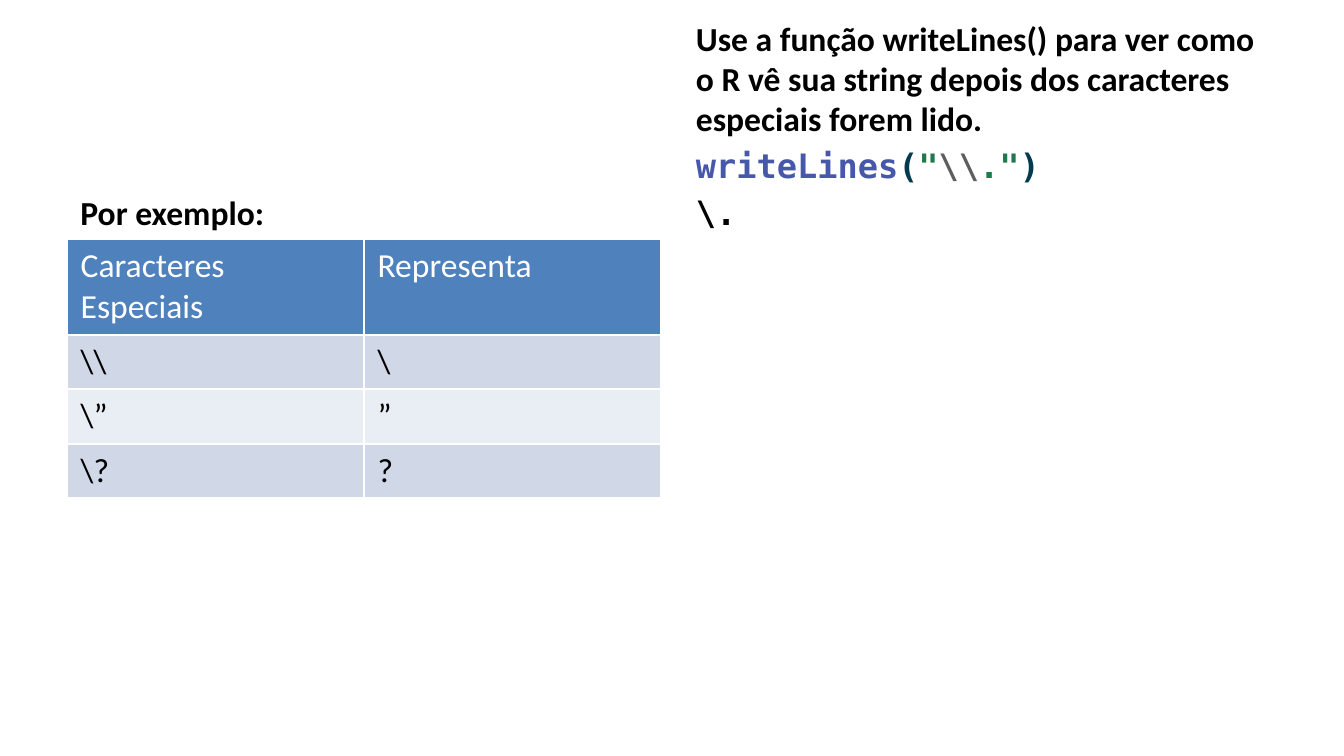
"""Build a slide on special characters in R strings."""
from dataclasses import dataclass

from pptx import Presentation, util as u
from pptx.dml.color import RGBColor
from pptx.enum import text


@dataclass(frozen=True)
class Theme:
    body: str = "Calibri"
    mono: str = "DejaVu Sans Mono"
    size: int = 18
    black: str = "000000"
    white: str = "FFFFFF"
    header: str = "4F81BD"
    bands: tuple = ("D0D8E8", "E9EDF4")
    function: str = "4758AB"
    bracket: str = "003B4F"
    string: str = "20794D"
    escape: str = "5E5E5E"


THEME = Theme()

EXAMPLE = [[("Por exemplo:", {})]]
ROWS = [
    ("Caracteres Especiais", "Representa"),
    ("\\\\", "\\"),
    ("\\”", "”"),
    ("\\?", "?"),
]
EXPLANATION = [
    [("Use a função writeLines() para ver como o R vê sua string "
      "depois dos caracteres especiais forem lido.", {})],
    [(words, {"font": THEME.mono, "color": color}) for words, color in (
        ("writeLines", THEME.function),
        ("(", THEME.bracket),
        ('"', THEME.string),
        ("\\\\", THEME.escape),
        ('."', THEME.string),
        (")", THEME.bracket),
    )],
    [("\\.", {"font": THEME.mono})],
]

SLIDE_WIDTH = 10
SLIDE_HEIGHT = SLIDE_WIDTH * 9 / 16
MARGIN, TOP, WIDTH, HEIGHT = 0.5, 1.26, 4.42, 0.52
HEADER_HEIGHT, ROW_HEIGHT = 0.7, 0.4


def write(paragraph, words, font=THEME.body, color=THEME.black, bold=True):
    run = paragraph.add_run()
    run.text = words
    run.font.name = font
    run.font.size = u.Pt(THEME.size)
    run.font.bold = bold
    run.font.color.rgb = RGBColor.from_string(color)


def add_text(slide, left, paragraphs):
    box = slide.shapes.add_textbox(*map(u.Inches, (left, TOP, WIDTH, HEIGHT)))
    frame = box.text_frame
    frame.word_wrap = True
    frame.auto_size = text.MSO_AUTO_SIZE.NONE
    frame.vertical_anchor = text.MSO_ANCHOR.BOTTOM
    for index, runs in enumerate(paragraphs):
        paragraph = frame.add_paragraph() if index else frame.paragraphs[0]
        paragraph.space_before = u.Pt(THEME.size * 0.2)
        for words, style in runs:
            write(paragraph, words, **style)


def add_character_table(slide):
    heights = [HEADER_HEIGHT] + [ROW_HEIGHT] * (len(ROWS) - 1)
    table = slide.shapes.add_table(
        len(ROWS), len(ROWS[0]),
        *map(u.Inches, (MARGIN, TOP + HEIGHT, WIDTH, sum(heights)))).table
    for index, (height, values) in enumerate(zip(heights, ROWS)):
        table.rows[index].height = u.Inches(height)
        fill = THEME.bands[(index - 1) % 2] if index else THEME.header
        color = THEME.black if index else THEME.white
        for column, value in enumerate(values):
            cell = table.cell(index, column)
            cell.fill.solid()
            cell.fill.fore_color.rgb = RGBColor.from_string(fill)
            write(cell.text_frame.paragraphs[0], value, color=color, bold=False)


def main():
    presentation = Presentation()
    presentation.slide_width = u.Inches(SLIDE_WIDTH)
    presentation.slide_height = u.Inches(SLIDE_HEIGHT)
    slide = presentation.slides.add_slide(presentation.slide_layouts[6])
    add_text(slide, MARGIN, EXAMPLE)
    add_character_table(slide)
    add_text(slide, SLIDE_WIDTH - MARGIN - WIDTH, EXPLANATION)
    presentation.save("out.pptx")


if __name__ == "__main__":
    main()
